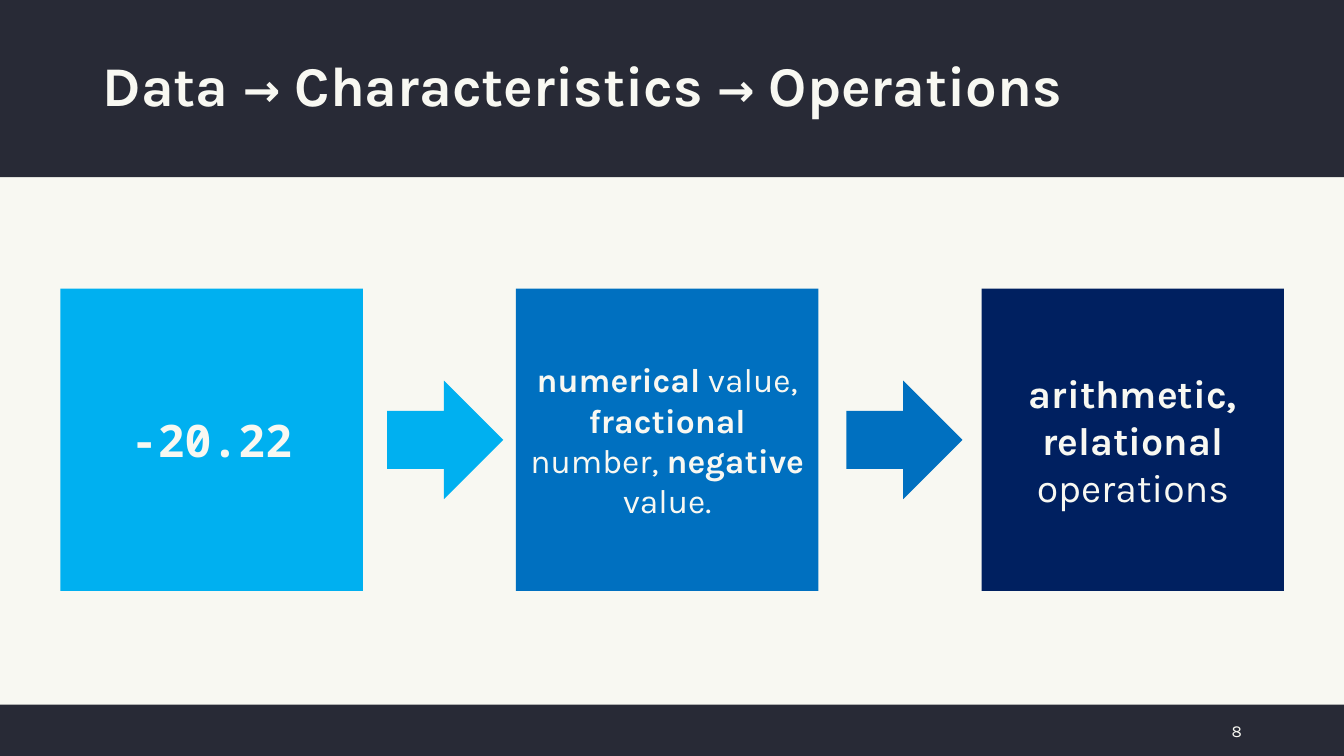
from dataclasses import dataclass

import pptx
import pptx.dml.color
import pptx.enum.shapes
import pptx.enum.text
import pptx.oxml
import pptx.oxml.ns
import pptx.util

Pt = pptx.util.Pt
MSO_SHAPE = pptx.enum.shapes.MSO_SHAPE
ANCHOR = pptx.enum.text.MSO_ANCHOR
ALIGN = pptx.enum.text.PP_ALIGN

WIDTH, HEIGHT = 960, 540
DARK, LIGHT = "282A36", "F8F8F2"
SKY, BLUE, NAVY = "00B0F0", "0070C0", "002060"
BOX_SIDE, BOX_TOP = 216, 206.2
ARROW_W, ARROW_H = 77, 72.7
ARROW_TOP = BOX_TOP + (BOX_SIDE - ARROW_H) / 2


@dataclass
class Run:
    text: str
    size: float
    bold: bool = True
    font: str = "Karla"


@dataclass
class Box:
    left: float
    fill: str
    runs: list[Run]


@dataclass
class Arrow:
    left: float
    fill: str


BOXES = [
    Box(43.2, SKY, [Run("-20.22", 32, font="Noto Sans Mono")]),
    Box(368.6, BLUE, [
        Run("numerical", 24), Run(" value,\n", 24, False),
        Run("fractional", 24), Run(" number, ", 24, False),
        Run("negative", 24), Run(" value.", 24, False),
    ]),
    Box(701.2, NAVY, [
        Run("arithmetic,\n", 28), Run("relational ", 28),
        Run("operations", 28, False),
    ]),
]
ARROWS = [Arrow(279, SKY), Arrow(607, BLUE)]
TITLE = [
    Run("Data ", 40), Run("→", 32), Run(" Characteristics ", 40),
    Run("→", 32), Run(" Operations", 40),
]


def rgb(value: str) -> pptx.dml.color.RGBColor:
    return pptx.dml.color.RGBColor.from_string(value)


def write(tf, runs: list[Run], align) -> None:
    """Fill the frame's one paragraph; a run ending in a newline breaks the line."""
    tf.word_wrap = True
    tf.vertical_anchor = ANCHOR.MIDDLE
    p = tf.paragraphs[0]
    p.alignment = align
    for run in runs:
        r = p.add_run()
        r.text = run.text.rstrip("\n")
        formats = {"name": run.font, "size": Pt(run.size), "bold": run.bold}
        for name, value in formats.items():
            setattr(r.font, name, value)
        r.font.color.rgb = rgb(LIGHT)
        if run.text.endswith("\n"):
            p.add_line_break()


def add_filled(s, kind, left: float, top: float, width: float, height: float, fill: str):
    sp = s.shapes.add_shape(kind, Pt(left), Pt(top), Pt(width), Pt(height))
    sp.shadow.inherit = False
    sp.fill.solid()
    sp.fill.fore_color.rgb = rgb(fill)
    sp.line.fill.background()
    return sp


def add_box(s, box: Box) -> None:
    sp = add_filled(s, MSO_SHAPE.RECTANGLE, box.left, BOX_TOP, BOX_SIDE, BOX_SIDE, box.fill)
    write(sp.text_frame, box.runs, ALIGN.CENTER)


def add_arrow(s, arrow: Arrow) -> None:
    sp = add_filled(s, MSO_SHAPE.RIGHT_ARROW, arrow.left, ARROW_TOP, ARROW_W, ARROW_H, arrow.fill)
    sp.line.color.rgb = rgb(arrow.fill)
    sp.line.width = Pt(5)
    # Sharp corners on the outline
    ln = sp.element.spPr.find(pptx.oxml.ns.qn("a:ln"))
    ln.append(pptx.oxml.parse_xml(f'<a:miter {pptx.oxml.ns.nsdecls("a")} lim="800000"/>'))


def add_title(s) -> None:
    title = s.shapes.title
    place = {"left": 66.2, "top": 10.8, "width": 828, "height": 104.4}
    for name, value in place.items():
        setattr(title, name, Pt(value))
    title.text_frame.auto_size = pptx.enum.text.MSO_AUTO_SIZE.NONE
    write(title.text_frame, TITLE, ALIGN.LEFT)
    title.text_frame.paragraphs[0].line_spacing = 0.9
    # Bring the title in front of the header band
    title.element.getparent().append(title.element)


def main() -> None:
    prs = pptx.Presentation()
    prs.slide_width, prs.slide_height = Pt(WIDTH), Pt(HEIGHT)
    s = prs.slides.add_slide(prs.slide_layouts[5])
    s.background.fill.solid()
    s.background.fill.fore_color.rgb = rgb(LIGHT)

    # Header and footer bands
    for top, height in ((0, 126.5), (503.3, HEIGHT - 503.3)):
        add_filled(s, MSO_SHAPE.RECTANGLE, 0, top, WIDTH, height, DARK)

    # Boxes joined by arrows
    for box in BOXES:
        add_box(s, box)
    for arrow in ARROWS:
        add_arrow(s, arrow)

    # Title and page number
    add_title(s)
    number = s.shapes.add_textbox(Pt(841), Pt(507.6), Pt(53.2), Pt(28.8))
    write(number.text_frame, [Run("8", 12, False)], ALIGN.RIGHT)

    prs.save("out.pptx")


if __name__ == "__main__":
    main()
